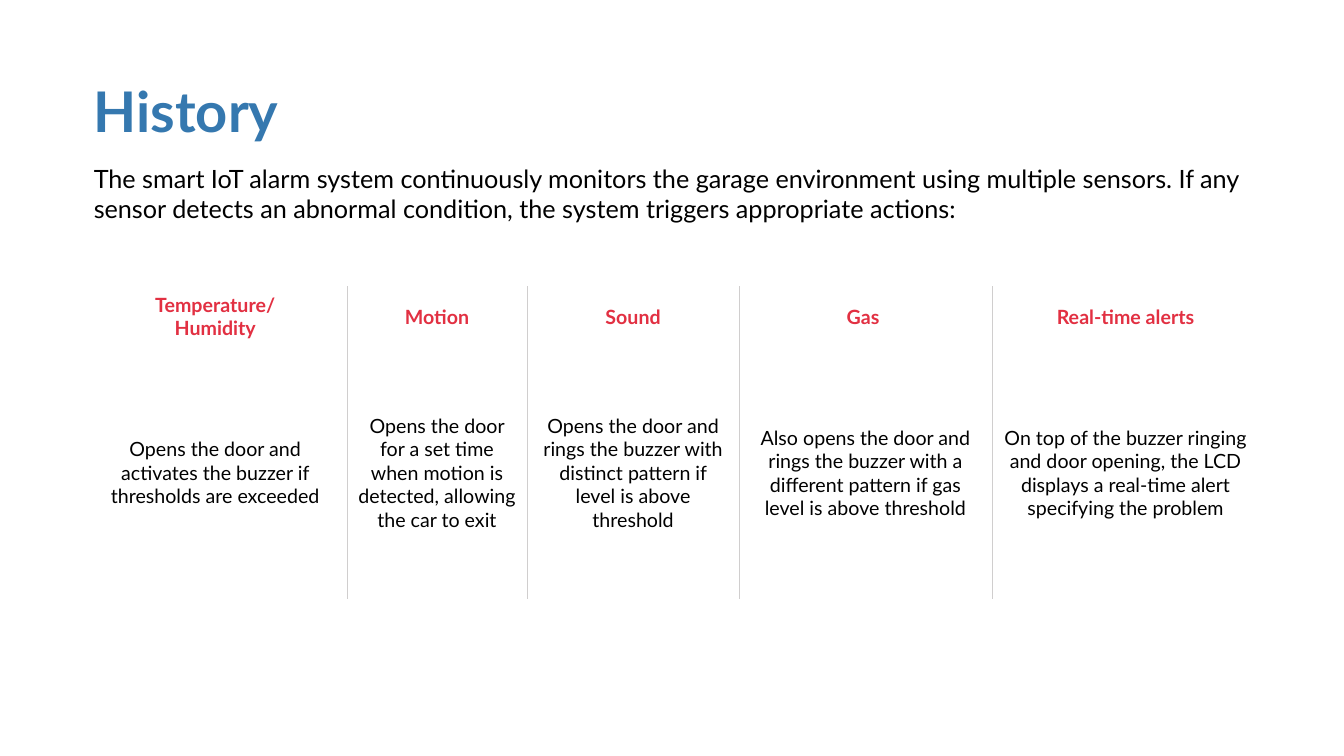
from dataclasses import dataclass

import pptx
import pptx.dml.color
import pptx.enum.text
import pptx.oxml.ns
import pptx.table
import pptx.text.text
import pptx.util
from lxml import etree

Inches = pptx.util.Inches
Pt = pptx.util.Pt
RGBColor = pptx.dml.color.RGBColor
Align = pptx.enum.text.PP_ALIGN
Anchor = pptx.enum.text.MSO_ANCHOR
qn = pptx.oxml.ns.qn

FONT = "Lato"
BLUE = RGBColor(0x35, 0x78, 0xAF)
RED = RGBColor(0xE2, 0x30, 0x42)
BLACK = RGBColor(0, 0, 0)
DIVIDER = RGBColor(0xD0, 0xCE, 0xCE)

LEFT = 0.83
ROW_HEIGHTS = (0.6, 2.5)


@dataclass(frozen=True)
class TextStyle:
    size: float
    color: RGBColor
    bold: bool = False
    align: Align = Align.LEFT
    line_spacing: float = 1.0
    space_before: float = 10


@dataclass(frozen=True)
class SensorColumn:
    heading: str
    action: str
    width: float


TITLE = TextStyle(40, BLUE, bold=True, line_spacing=0.9)
INTRO = TextStyle(18, BLACK)
HEADING = TextStyle(14, RED, bold=True, align=Align.CENTER, space_before=2.8)
ACTION = TextStyle(14, BLACK, align=Align.CENTER, space_before=2.8)

INTRO_TEXT = (
    "The smart IoT alarm system continuously monitors the garage environment "
    "using multiple sensors. If any sensor detects an abnormal condition, "
    "the system triggers appropriate actions:"
)
COLUMNS = (
    SensorColumn(
        "Temperature/\nHumidity",
        "Opens the door and activates the buzzer if thresholds are exceeded",
        2.61,
    ),
    SensorColumn(
        "Motion",
        "Opens the door for a set time when motion is detected, "
        "allowing the car to exit",
        1.79,
    ),
    SensorColumn(
        "Sound",
        "Opens the door and rings the buzzer with distinct pattern "
        "if level is above threshold",
        2.1,
    ),
    SensorColumn(
        "Gas ",
        "Also opens the door and rings the buzzer with a different pattern "
        "if gas level is above threshold",
        2.51,
    ),
    SensorColumn(
        "Real-time alerts",
        "On top of the buzzer ringing and door opening, the LCD displays "
        "a real-time alert specifying the problem",
        2.65,
    ),
)


def write_text(frame: pptx.text.text.TextFrame, text: str, style: TextStyle) -> None:
    paragraph = frame.paragraphs[0]
    paragraph.alignment = style.align
    paragraph.line_spacing = style.line_spacing
    paragraph.space_before = Pt(style.space_before)
    for index, line in enumerate(text.split("\n")):
        if index:
            paragraph.add_line_break()
        run = paragraph.add_run()
        run.text = line
        run.font.name = FONT
        run.font.size = Pt(style.size)
        run.font.bold = style.bold
        run.font.color.rgb = style.color


def fill_placeholder(
    shape, top: float, width: float, height: float,
    anchor: Anchor, text: str, style: TextStyle,
) -> None:
    shape.left, shape.top = Inches(LEFT), Inches(top)
    shape.width, shape.height = Inches(width), Inches(height)
    frame = shape.text_frame
    frame.word_wrap = True
    frame.auto_size = pptx.enum.text.MSO_AUTO_SIZE.NONE
    frame.vertical_anchor = anchor
    write_text(frame, text, style)


def remove_bullet(paragraph) -> None:
    properties = paragraph._p.get_or_add_pPr()
    properties.set("marL", "0")
    properties.set("indent", "0")
    etree.SubElement(properties, qn("a:buNone"))


def set_borders(cell: pptx.table._Cell, left: bool, right: bool) -> None:
    """Draw the chosen side borders and hide the others."""
    properties = cell._tc.get_or_add_tcPr()
    sides = {"lnL": left, "lnR": right, "lnT": False, "lnB": False}
    for name, visible in sides.items():
        line = etree.SubElement(properties, qn(f"a:{name}"), w=str(Pt(0.5)))
        if visible:
            fill = etree.SubElement(line, qn("a:solidFill"))
            etree.SubElement(fill, qn("a:srgbClr"), val=str(DIVIDER))
        else:
            etree.SubElement(line, qn("a:noFill"))


def add_sensor_table(slide) -> None:
    total_width = sum(column.width for column in COLUMNS)
    table = slide.shapes.add_table(
        len(ROW_HEIGHTS), len(COLUMNS), Inches(LEFT), Inches(2.84),
        Inches(total_width), Inches(sum(ROW_HEIGHTS)),
    ).table
    table.first_row = False
    table.horz_banding = False
    for row, height in zip(table.rows, ROW_HEIGHTS):
        row.height = Inches(height)
    last = len(COLUMNS) - 1
    for index, column in enumerate(COLUMNS):
        table.columns[index].width = Inches(column.width)
        contents = ((column.heading, HEADING), (column.action, ACTION))
        for row_index, (text, style) in enumerate(contents):
            cell = table.cell(row_index, index)
            cell.vertical_anchor = Anchor.MIDDLE
            set_borders(cell, left=index > 0, right=index < last)
            cell.fill.background()
            write_text(cell.text_frame, text, style)


def main() -> None:
    presentation = pptx.Presentation()
    presentation.slide_width = Inches(13.33)
    presentation.slide_height = Inches(7.5)
    slide = presentation.slides.add_slide(presentation.slide_layouts[1])
    fill_placeholder(
        slide.shapes.title, 0.78, 11.58, 0.71, Anchor.MIDDLE, "History", TITLE
    )
    intro = slide.placeholders[1]
    fill_placeholder(intro, 1.57, 11.67, 1.27, Anchor.TOP, INTRO_TEXT, INTRO)
    remove_bullet(intro.text_frame.paragraphs[0])
    add_sensor_table(slide)
    presentation.save("out.pptx")


if __name__ == "__main__":
    main()
